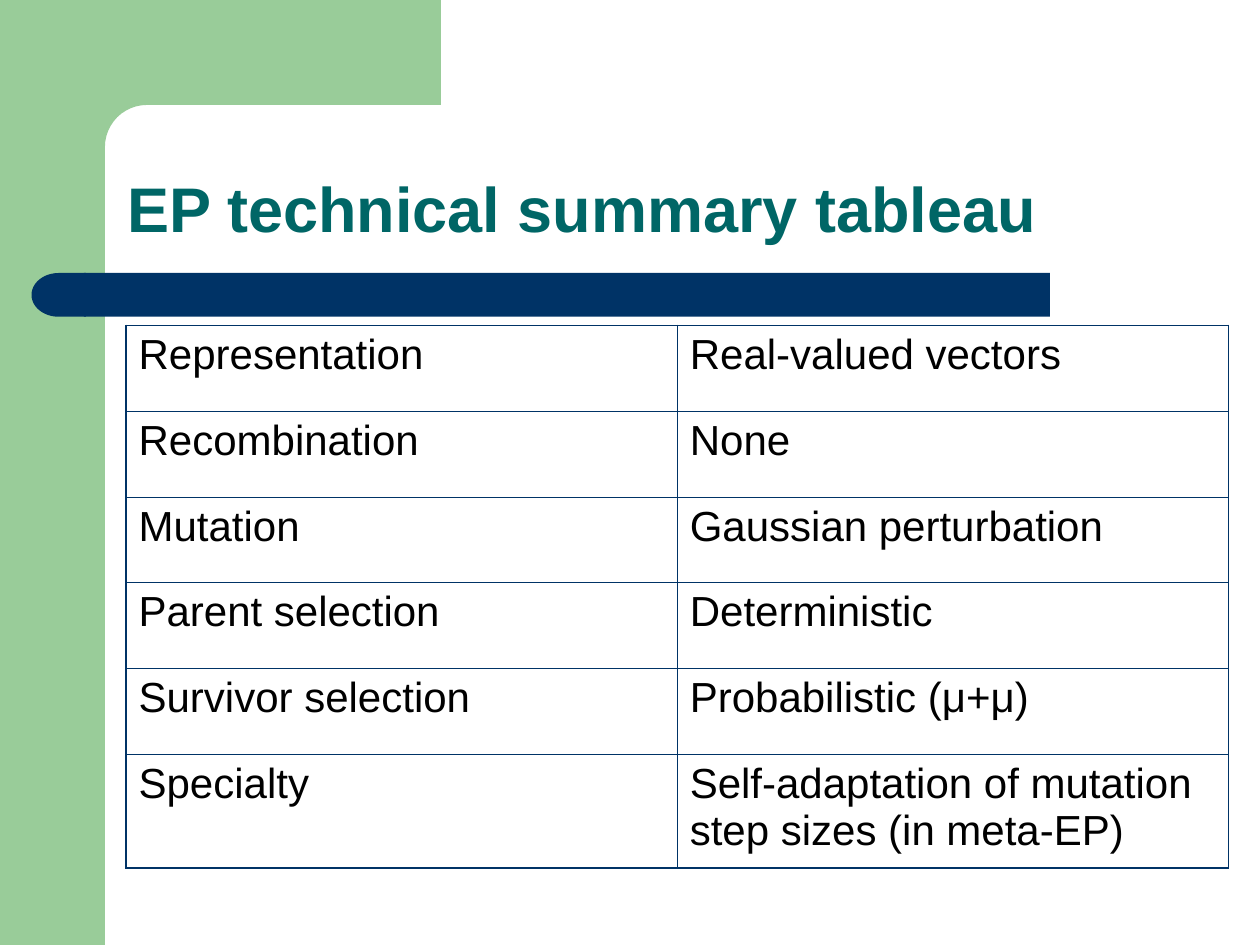
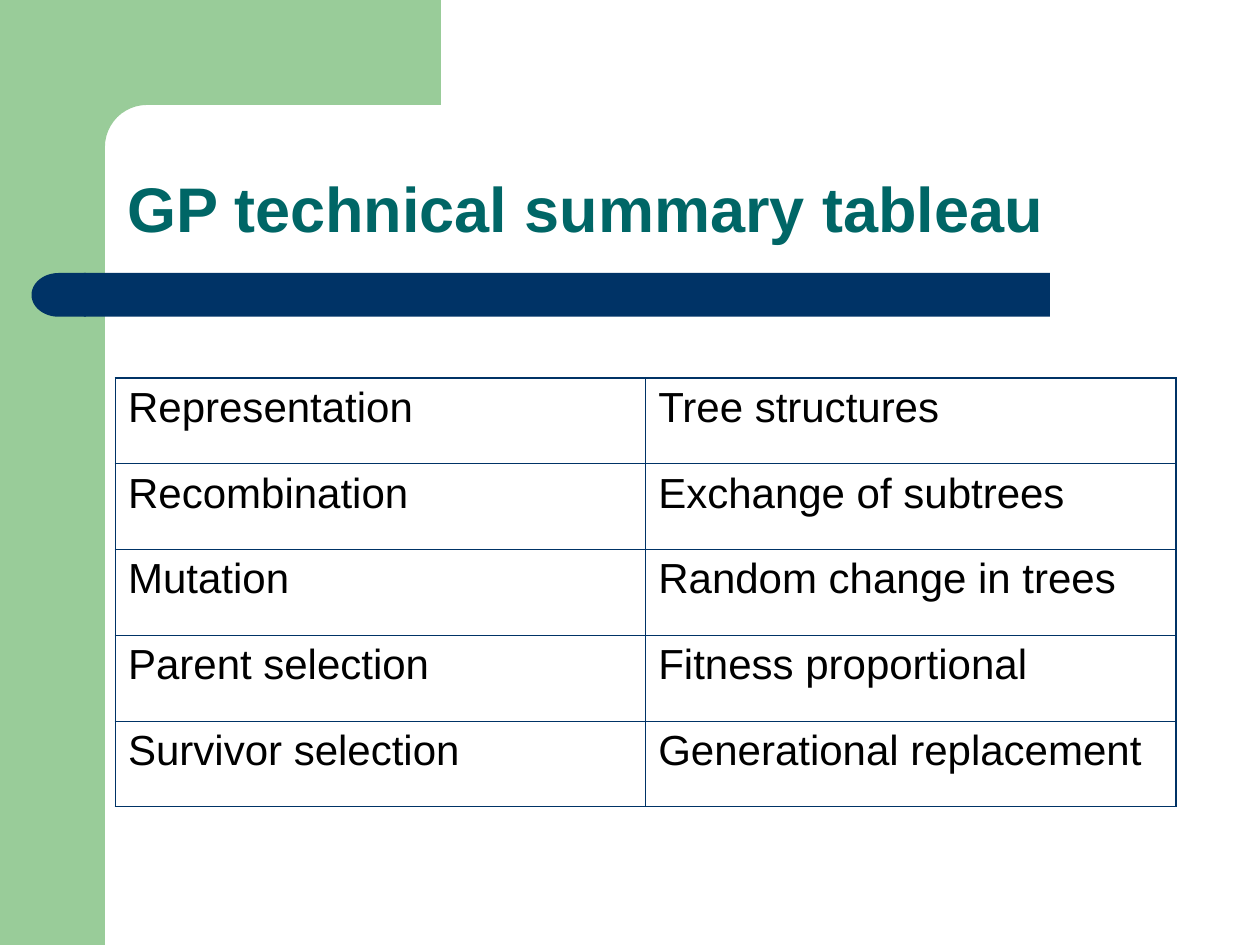
from math import cos, sin, pi
from pptx import Presentation
from pptx.dml.color import RGBColor
from pptx.enum.shapes import MSO_SHAPE as Kind
from pptx.enum.text import MSO_ANCHOR as Anchor, MSO_AUTO_SIZE as Fit, PP_ALIGN as Align
from pptx.oxml.ns import qn
from pptx.util import Pt
from lxml.etree import SubElement as Sub

GREEN, NAVY, TEAL, BLACK = "99CC99", "003366", "006666", "000000"
FONT = "Arial"
THIN, THICK = 0.45, 1.08
ROW = 49

# title, table left, top, column width, height of last row, rows
SLIDES = [
    ("EP technical summary tableau", 72, 186, 315, 65, [
        ("Representation", "Real-valued vectors"),
        ("Recombination", "None"),
        ("Mutation", "Gaussian perturbation"),
        ("Parent selection", "Deterministic"),
        ("Survivor selection", "Probabilistic (μ+μ)"),
        ("Specialty", "Self-adaptation of mutation step sizes (in meta-EP)"),
    ]),
    ("GP technical summary tableau", 66, 216, 303, ROW, [
        ("Representation", "Tree structures"),
        ("Recombination", "Exchange of subtrees"),
        ("Mutation", "Random change in trees"),
        ("Parent selection", "Fitness proportional"),
        ("Survivor selection", "Generational replacement"),
    ]),
]

# Green corner: a band along the top with a rounded inner corner
SIDE, BEND, STEPS = 60, 24, 12
turns = [pi / 2 * i / STEPS for i in range(STEPS + 1)]
arc = [(SIDE + BEND * (1 - sin(t)), SIDE + BEND * (1 - cos(t))) for t in turns]
CORNER = [(252, 0), (252, SIDE), *arc, (SIDE, 92), (36, 92), (36, 0)]

BANDS = [
    (Kind.RECTANGLE, 0, 0, SIDE, 540, 0, GREEN),
    (Kind.RECTANGLE, 48, 156, 552, 25, 0, NAVY),
    (Kind.FLOWCHART_DELAY, 18, 156, 31, 25, 180, NAVY),
]


def paint(shape, color):
    shape.shadow.inherit = False
    shape.fill.solid()
    shape.fill.fore_color.rgb = RGBColor.from_string(color)
    shape.line.fill.background()


def style(par, size, color, bold=False):
    font = par.font
    font.name, font.size, font.bold = FONT, Pt(size), bold
    font.color.rgb = RGBColor.from_string(color)


prs = Presentation()
prs.slide_width, prs.slide_height = Pt(720), Pt(540)

for name, left, top, width, last, rows in SLIDES:
    slide = prs.slides.add_slide(prs.slide_layouts[5])
    shapes = slide.shapes

    for kind, x, y, w, h, turn, color in BANDS:
        band = shapes.add_shape(kind, Pt(x), Pt(y), Pt(w), Pt(h))
        band.rotation = turn
        paint(band, color)
    points = [(Pt(x), Pt(y)) for x, y in CORNER]
    pen = shapes.build_freeform(*points[0])
    pen.add_line_segments(points[1:])
    paint(pen.convert_to_shape(), GREEN)

    title = shapes.title
    title.left, title.top = Pt(65.5), Pt(65.5)
    title.width, title.height = Pt(613), Pt(78.5)
    frame = title.text_frame
    frame.text = name
    frame.auto_size = Fit.NONE
    frame.vertical_anchor = Anchor.BOTTOM
    par = frame.paragraphs[0]
    par.alignment = Align.LEFT
    par.line_spacing = 0.9
    style(par, 36, TEAL, True)

    end = len(rows) - 1
    table = shapes.add_table(len(rows), 2, Pt(left), Pt(top),
                             Pt(2 * width), Pt(end * ROW + last)).table
    table.first_row = table.horz_banding = False
    for col in table.columns:
        col.width = Pt(width)
    for r, texts in enumerate(rows):
        table.rows[r].height = Pt(last if r == end else ROW)
        for c, text in enumerate(texts):
            cell = table.cell(r, c)
            cell.text = text
            style(cell.text_frame.paragraphs[0], 24, BLACK)
            props = cell._tc.get_or_add_tcPr()
            outer = {"lnL": c == 0, "lnR": c == 1, "lnT": r == 0, "lnB": r == end}
            for tag, edge in outer.items():
                line = Sub(props, qn("a:" + tag), w=str(Pt(THICK if edge else THIN)))
                fill = Sub(line, qn("a:solidFill"))
                Sub(fill, qn("a:srgbClr"), val=NAVY)
            cell.fill.background()

prs.save("out.pptx")
